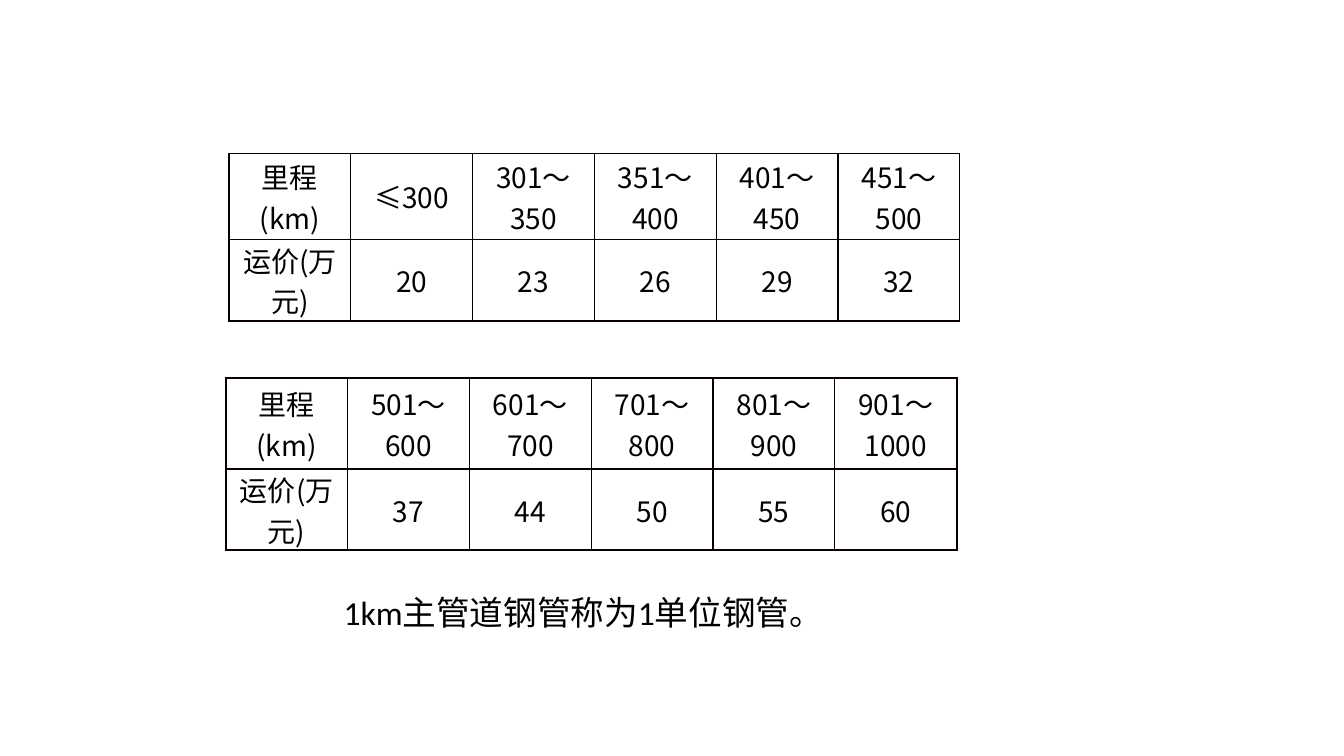
import pptx
import pptx.util
import pptx.dml.color
import pptx.enum.text
import pptx.oxml.ns
import lxml.etree

COLORS = {"text": "000000", "border": "080000"}
CJK_FONT = "Noto Sans CJK SC"
LATIN_FONT = "Calibri"
Cm = pptx.util.Cm
Pt = pptx.util.Pt


class SlideBuilder:
    def __init__(self, slide):
        self.slide = slide

    def add_run(self, paragraph, text, size, latin_font):
        run = paragraph.add_run()
        run.text = text
        run.font.size = Pt(size)
        run.font.name = latin_font
        run.font.color.rgb = pptx.dml.color.RGBColor.from_string(COLORS["text"])
        east_asian = lxml.etree.SubElement(
            run.font._element, pptx.oxml.ns.qn("a:ea"))
        east_asian.set("typeface", CJK_FONT)

    def add_border(self, cell, side, width):
        """Draw one cell edge; side is L, R, T or B."""
        qn = pptx.oxml.ns.qn
        properties = cell._tc.get_or_add_tcPr()
        line = lxml.etree.SubElement(properties, qn(f"a:ln{side}"))
        line.set("w", str(Pt(width)))
        fill = lxml.etree.SubElement(line, qn("a:solidFill"))
        lxml.etree.SubElement(fill, qn("a:srgbClr")).set("val", COLORS["border"])

    def add_table(self, left, top, column_width, row_heights, rows, outer_width=1):
        row_count, column_count = len(rows), len(rows[0])
        table = self.slide.shapes.add_table(
            row_count, column_count, Cm(left), Cm(top),
            Cm(column_width * column_count), Cm(sum(row_heights))).table
        table.first_row = False
        table.horz_banding = False
        for column in table.columns:
            column.width = Cm(column_width)
        for row_index, (height, values) in enumerate(zip(row_heights, rows)):
            table.rows[row_index].height = Cm(height)
            for column_index, text in enumerate(values):
                cell = table.cell(row_index, column_index)
                outer_edges = {
                    "L": column_index == 0,
                    "R": column_index == column_count - 1,
                    "T": row_index == 0,
                    "B": row_index == row_count - 1,
                }
                for side, is_outer in outer_edges.items():
                    self.add_border(cell, side, outer_width if is_outer else 1)
                self.fill_cell(cell, text)

    def fill_cell(self, cell, text):
        cell.fill.background()
        cell.margin_left = cell.margin_right = Cm(0.18)
        cell.margin_top = cell.margin_bottom = Cm(0)
        cell.vertical_anchor = pptx.enum.text.MSO_ANCHOR.MIDDLE
        paragraph = cell.text_frame.paragraphs[0]
        paragraph.alignment = pptx.enum.text.PP_ALIGN.CENTER
        self.add_run(paragraph, text, 20, CJK_FONT)

    def add_note(self, left, top, width, height, text):
        box = self.slide.shapes.add_textbox(Cm(left), Cm(top), Cm(width), Cm(height))
        box.text_frame.word_wrap = True
        self.add_run(box.text_frame.paragraphs[0], text, 24, LATIN_FONT)


def main():
    presentation = pptx.Presentation()
    presentation.slide_width = Cm(33.87)
    presentation.slide_height = Cm(19.05)
    blank_layout = presentation.slide_layouts[6]
    builder = SlideBuilder(presentation.slides.add_slide(blank_layout))

    short_distances = [
        ["里程(km)", "≤300", "301～350", "351～400", "401～450", "451～500"],
        ["运价(万元)", "20", "23", "26", "29", "32"],
    ]
    long_distances = [
        ["里程(km)", "501～600", "601～700", "701～800", "801～900", "901～1000"],
        ["运价(万元)", "37", "44", "50", "55", "60"],
    ]
    builder.add_table(5.77, 3.86, 3.07, [2.18, 1.78], short_distances)
    builder.add_table(5.69, 9.53, 3.07, [2.29, 1.83], long_distances, outer_width=1.5)
    builder.add_note(8.41, 14.78, 13.51, 1.85, "1km主管道钢管称为1单位钢管。")
    presentation.save("out.pptx")


if __name__ == "__main__":
    main()
